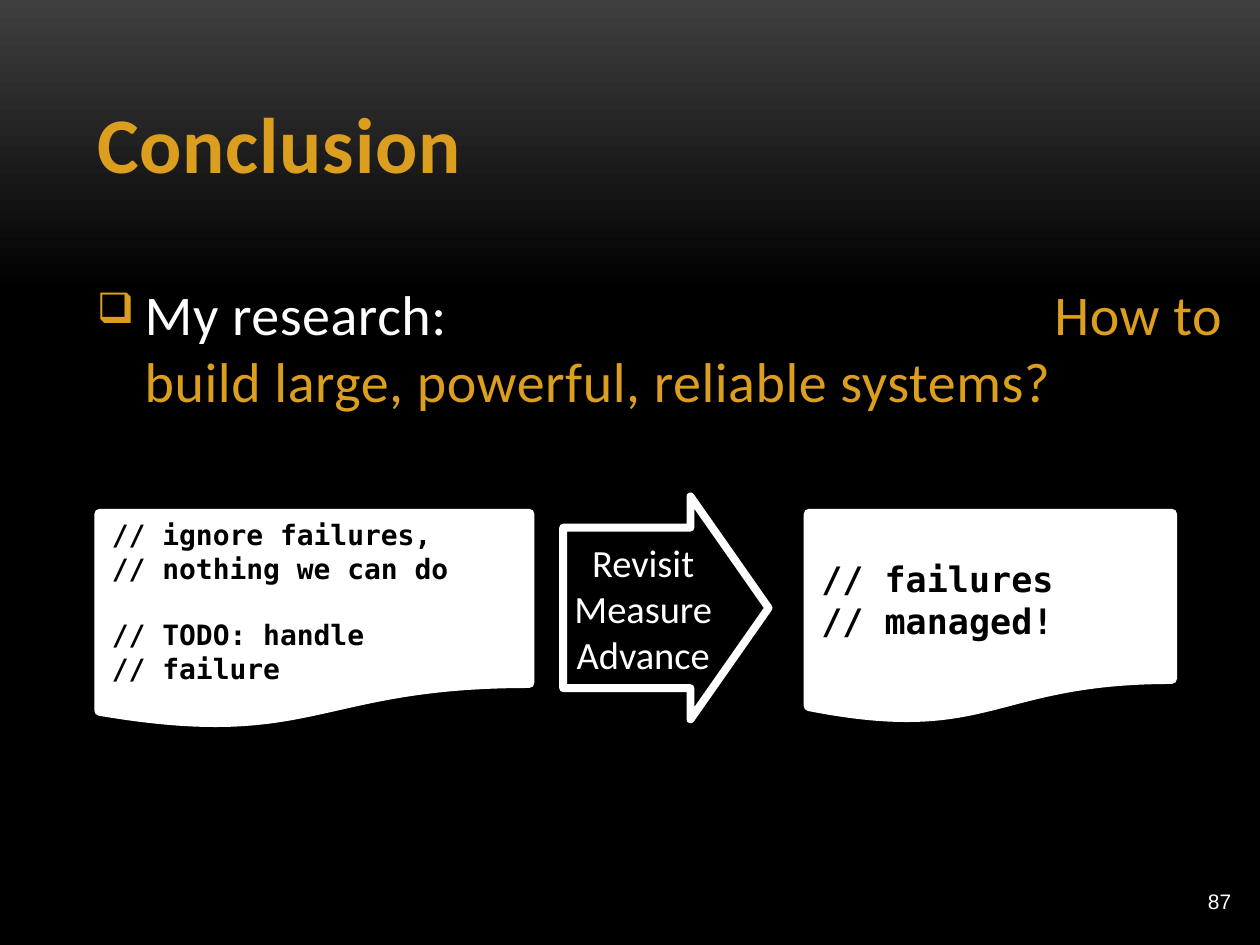
import pptx
import pptx.util
import pptx.dml.color
import pptx.enum.shapes
import pptx.enum.text
import pptx.oxml.ns
from lxml import etree

Inches = pptx.util.Inches
Pt = pptx.util.Pt
Shape = pptx.enum.shapes.MSO_SHAPE
Anchor = pptx.enum.text.MSO_ANCHOR
Align = pptx.enum.text.PP_ALIGN

COLORS = {"gold": "DC9E1F", "white": "FFFFFF", "black": "000000", "gray": "3F3F3F"}


def color(name):
    return pptx.dml.color.RGBColor.from_string(COLORS[name])


def add_element(parent, tag, **attributes):
    return etree.SubElement(parent, pptx.oxml.ns.qn(tag), attributes)


def set_font(font, name, size, tint, bold=False):
    font.name, font.size, font.bold = name, Pt(size), bold
    font.color.rgb = color(tint)


def set_spacing(span, points):
    span.font._element.set("spc", str(round(points * 100)))


def prepare_frame(shape, anchor, bottom=0.05):
    frame = shape.text_frame
    frame.word_wrap = True
    frame.auto_size = pptx.enum.text.MSO_AUTO_SIZE.NONE
    frame.vertical_anchor = anchor
    frame.margin_left = frame.margin_right = Inches(0.1)
    frame.margin_top, frame.margin_bottom = Inches(0.05), Inches(bottom)
    return frame


def add_lines(frame, lines, font, size, tint, bold=False, align=Align.LEFT, gap_before=None):
    """Write one paragraph per line; gap_before is the index of the line set apart."""
    for index, line in enumerate(lines):
        para = frame.paragraphs[0] if index == 0 else frame.add_paragraph()
        para.text = line
        para.alignment = align
        if index == gap_before:
            para.space_before = Pt(size * 1.17)
        set_font(para.font, font, size, tint, bold)


def add_text(page, box, lines, font, size, tint, anchor, align, bottom=0.05):
    shape = page.shapes.add_textbox(*map(Inches, box))
    add_lines(prepare_frame(shape, anchor, bottom), lines, font, size, tint, align=align)


def add_outlined(page, kind, box, fill, width):
    shape = page.shapes.add_shape(kind, *map(Inches, box))
    shape.shadow.inherit = False
    shape.fill.solid()
    shape.fill.fore_color.rgb = color(fill)
    shape.line.color.rgb = color("white")
    shape.line.width = Pt(width)
    add_element(shape.line._get_or_add_ln(), "a:round")
    return shape


def set_background(page):
    fill = page.background.fill
    fill.gradient()
    fill.gradient_angle = 270
    for stop, position, tint in zip(fill.gradient_stops, (0, 0.31), ("gray", "black")):
        stop.position = position
        stop.color.rgb = color(tint)


def place_title(page, box):
    title = page.shapes.title
    title.left, title.top, title.width, title.height = map(Inches, box)
    frame = prepare_frame(title, Anchor.BOTTOM)
    add_lines(frame, ["Conclusion"], "Calibri", 45, "gold", bold=True)
    set_spacing(frame.paragraphs[0].runs[0], 0.5)


def add_question(page, box):
    shape = page.shapes.add_textbox(*map(Inches, box))
    para = prepare_frame(shape, Anchor.TOP).paragraphs[0]

    # Hanging bullet, and a tab stop for the question
    properties = para._p.get_or_add_pPr()
    indent = Inches(0.38)
    properties.set("marL", str(indent))
    properties.set("indent", str(-indent))
    bullet_color = add_element(properties, "a:buClr")
    add_element(bullet_color, "a:srgbClr", val=COLORS["gold"])
    add_element(properties, "a:buSzPct", val="75000")
    add_element(properties, "a:buChar", char="❑")
    tabs = add_element(properties, "a:tabLst")
    add_element(tabs, "a:tab", pos=str(Inches(7.6)), algn="l")

    for text, tint in (
        ("My research:\t", "white"),
        ("How to build large, powerful, reliable systems?", "gold"),
    ):
        span = para.add_run()
        span.text = text
        set_font(span.font, "Calibri", 32, tint)
        set_spacing(span, 0.3)


def add_code_page(page, box, lines, size, gap_before=None):
    shape = add_outlined(page, Shape.FLOWCHART_DOCUMENT, box, "white", 6)
    frame = prepare_frame(shape, Anchor.MIDDLE, bottom=0)
    add_lines(frame, lines, "DejaVu Sans Mono", size, "black", bold=True, gap_before=gap_before)


def add_process(page, left, top):
    """Code before, arrow with its steps, code after."""
    arrow = add_outlined(
        page, Shape.RIGHT_ARROW, (left + 3.68, top - 0.14, 1.63, 1.77), "black", 4.5
    )
    arrow.adjustments[0], arrow.adjustments[1] = 0.72, 0.38
    before = ["// ignore failures,", "// nothing we can do", "// TODO: handle", "// failure"]
    add_code_page(page, (left, top, 3.41, 1.67), before, 16, gap_before=2)
    after = ["// failures", "// managed!"]
    add_code_page(page, (left + 5.63, top, 2.88, 1.63), after, 20)
    add_text(page, (left + 3.52, top + 0.15, 1.59, 1.16), ["Revisit", "Measure", "Advance"],
             "Calibri", 22, "white", Anchor.TOP, Align.CENTER, bottom=0)


def main():
    deck = pptx.Presentation()
    deck.slide_width, deck.slide_height = Inches(10), Inches(7.5)
    page = deck.slides.add_slide(deck.slide_layouts[5])
    set_background(page)
    place_title(page, (0.67, 0.3, 8.67, 1.25))
    add_question(page, (0.67, 2.17, 9.21, 1.84))
    add_process(page, 0.79, 4.08)
    # Page number
    add_text(page, (8.79, 6.95, 1.08, 0.4), ["87"], "Arial", 12, "white",
             Anchor.MIDDLE, Align.RIGHT)
    deck.save("out.pptx")


if __name__ == "__main__":
    main()
